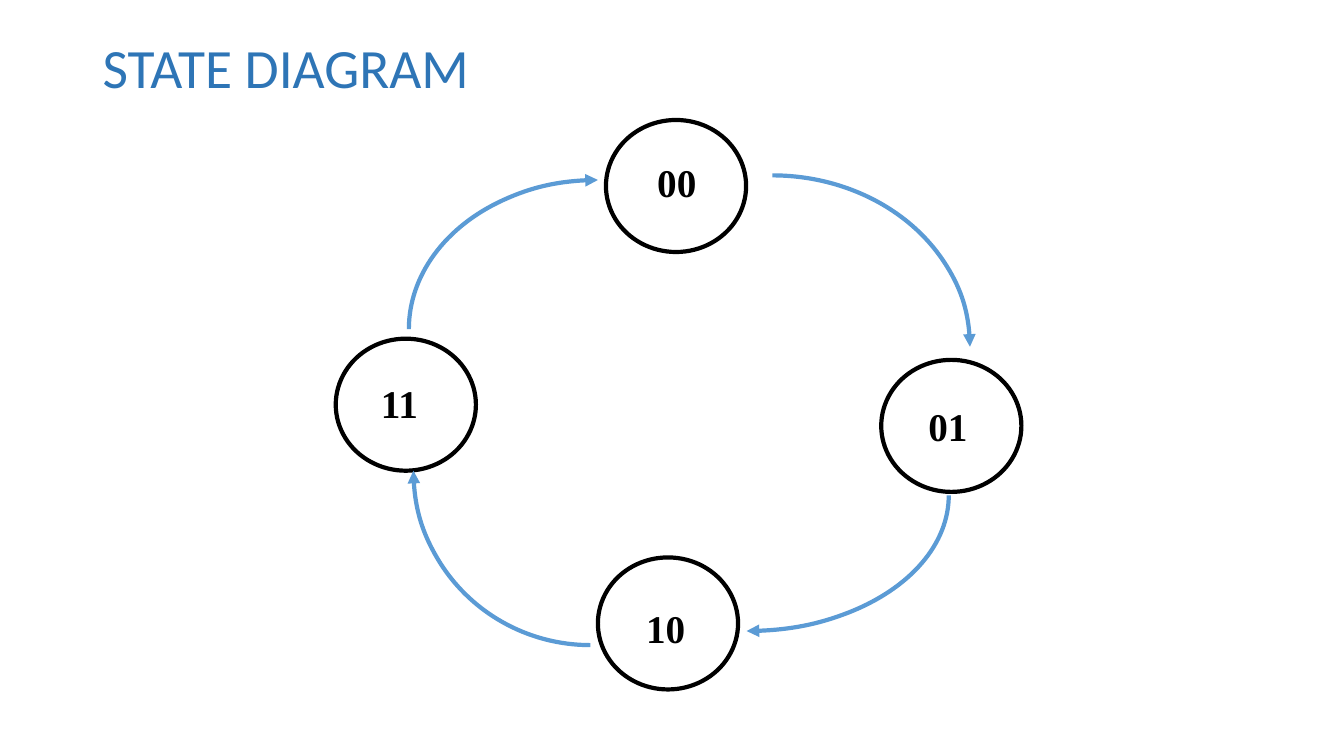
from dataclasses import dataclass

from lxml import etree
from pptx import Presentation
from pptx.dml.color import RGBColor
from pptx.enum.shapes import MSO_SHAPE
from pptx.enum.text import MSO_ANCHOR
from pptx.oxml.ns import qn
from pptx.util import Inches, Pt

ELLIPSE = MSO_SHAPE.OVAL
ARC = MSO_SHAPE.ARC
MIDDLE = MSO_ANCHOR.MIDDLE


@dataclass(frozen=True)
class Theme:
    title_color: RGBColor = RGBColor(0x2E, 0x75, 0xB6)
    state_color: RGBColor = RGBColor(0, 0, 0)
    arrow_color: RGBColor = RGBColor(0x5B, 0x9B, 0xD5)
    title_font: str = "Calibri"
    state_font: str = "Times New Roman"
    title_size: Pt = Pt(39.6)
    state_size: Pt = Pt(28)
    line_width: Pt = Pt(3)


THEME = Theme()
STATE_SIZE = (1.39, 1.31)
LABEL_SIZE = (0.8, 0.57)

# Code, left and top of the circle, left and top of the label
STATES = [
    ("00", (6.01, 1.19), (6.42, 1.52)),
    ("01", (8.74, 3.57), (9.11, 3.94)),
    ("10", (5.93, 5.53), (6.31, 5.94)),
    ("11", (3.33, 3.36), (3.68, 3.71)),
]

# Left, top, width and height before rotation; each arc turns a further quarter
TRANSITIONS = [
    (5.7, 1.74, 3.92, 3.4),
    (6.06, 2.91, 2.69, 4.01),
    (4.1, 2.94, 3.51, 3.46),
    (4.45, 1.39, 2.96, 3.75),
]


def add_text(slide, text, box, font_name, size, color, bold=False):
    frame = slide.shapes.add_textbox(*map(Inches, box)).text_frame
    frame.word_wrap = True
    frame.vertical_anchor = MIDDLE
    paragraph = frame.paragraphs[0]
    paragraph.text = text
    font = paragraph.font
    font.name, font.size, font.bold = font_name, size, bold
    font.color.rgb = color
    return paragraph


def add_outline(slide, preset, box, color):
    """Add an unfilled preset shape with a theme-width line."""
    outline = slide.shapes.add_shape(preset, *map(Inches, box))
    outline.shadow.inherit = False
    outline.fill.background()
    outline.line.color.rgb = color
    outline.line.width = THEME.line_width
    return outline


def add_state(slide, code, position, label_position):
    add_outline(slide, ELLIPSE, position + STATE_SIZE, THEME.state_color)
    add_text(slide, code, label_position + LABEL_SIZE, THEME.state_font,
             THEME.state_size, THEME.state_color, bold=True)


def add_transition(slide, box, rotation):
    arc = add_outline(slide, ARC, box, THEME.arrow_color)
    arc.rotation = rotation
    line = arc.line._get_or_add_ln()
    etree.SubElement(line, qn("a:tailEnd"), type="triangle")


def main():
    prs = Presentation()
    prs.slide_width, prs.slide_height = Inches(13.33), Inches(7.5)
    slide = prs.slides.add_slide(prs.slide_layouts[6])

    title = add_text(slide, "STATE DIAGRAM", (0.92, 0.35, 11.5, 0.7),
                     THEME.title_font, THEME.title_size, THEME.title_color)
    title.line_spacing = 0.9
    for state in STATES:
        add_state(slide, *state)
    for quarter, box in enumerate(TRANSITIONS):
        add_transition(slide, box, 90 * quarter)

    prs.save("out.pptx")


if __name__ == "__main__":
    main()
